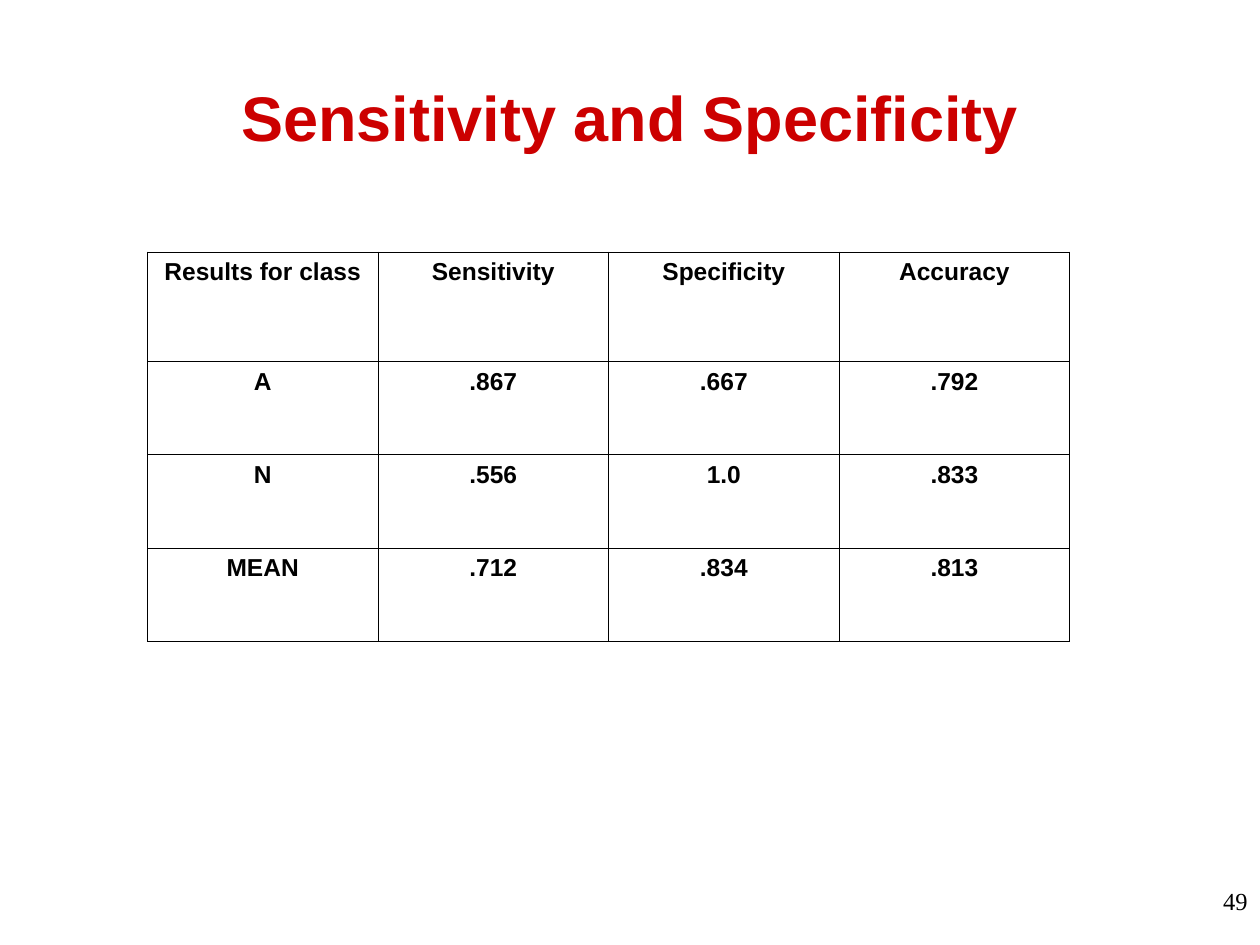
from lxml.etree import SubElement
from pptx import Presentation
from pptx.dml.color import RGBColor
from pptx.enum.text import MSO_ANCHOR, PP_ALIGN
from pptx.oxml.ns import qn
from pptx.util import Inches, Pt

BLACK = "000000"
RED = "CC0000"
TITLE_FONT = {"name": "Arial", "size": Pt(36), "bold": True}
CELL_FONT = {"name": "Arial", "size": Pt(14), "bold": True}
NUMBER_FONT = {"name": "Times New Roman", "size": Pt(14), "bold": False}
BORDER_WIDTH = Pt(0.45)
COLUMN_WIDTH = 1.83
ROW_HEIGHTS = [0.87, 0.74, 0.74, 0.74]
RESULTS = [
    ["Results for class", "Sensitivity", "Specificity", "Accuracy"],
    ["A", ".867", ".667", ".792"],
    ["N", ".556", "1.0", ".833"],
    ["MEAN", ".712", ".834", ".813"],
]


def set_color(color_format, hex_color):
    """Apply a hex colour to a font or fill colour."""
    color_format.rgb = RGBColor.from_string(hex_color)


def write_text(frame, text, font_format, hex_color, alignment):
    """Put one formatted paragraph into a text frame."""
    frame.word_wrap = True
    paragraph = frame.paragraphs[0]
    paragraph.alignment = alignment
    run = paragraph.add_run()
    run.text = text
    for attribute, value in font_format.items():
        setattr(run.font, attribute, value)
    set_color(run.font.color, hex_color)


def add_borders(cell, hex_color):
    """Draw a thin line on all four sides of a cell."""
    properties = cell._tc.get_or_add_tcPr()
    for side in ("a:lnL", "a:lnR", "a:lnT", "a:lnB"):
        border = SubElement(properties, qn(side), w=str(BORDER_WIDTH))
        solid = SubElement(border, qn("a:solidFill"))
        SubElement(solid, qn("a:srgbClr"), val=hex_color)


def add_title(slide, text):
    """Place and fill the title placeholder."""
    title = slide.shapes.title
    title.left, title.top = Inches(0.5), Inches(0.3)
    title.width, title.height = Inches(9), Inches(1.25)
    title.text_frame.vertical_anchor = MSO_ANCHOR.MIDDLE
    write_text(title.text_frame, text, TITLE_FONT, RED, PP_ALIGN.CENTER)


def add_results_table(slide, results):
    """Add the bordered table of results."""
    table = slide.shapes.add_table(
        len(results), len(results[0]), Inches(1.17), Inches(2),
        Inches(COLUMN_WIDTH * len(results[0])), Inches(sum(ROW_HEIGHTS)),
    ).table
    table.first_row = table.horz_banding = False
    for column in table.columns:
        column.width = Inches(COLUMN_WIDTH)
    for row, height, values in zip(table.rows, ROW_HEIGHTS, results):
        row.height = Inches(height)
        for cell, value in zip(row.cells, values):
            add_borders(cell, BLACK)
            cell.fill.background()
            write_text(cell.text_frame, value, CELL_FONT, BLACK, PP_ALIGN.CENTER)


def add_slide_number(slide, number):
    """Add the page number at the lower right."""
    page_number = slide.shapes.add_textbox(
        Inches(7.67), Inches(6.98), Inches(2.33), Inches(0.52)
    )
    write_text(page_number.text_frame, number, NUMBER_FONT, BLACK, PP_ALIGN.RIGHT)


def main():
    """Build and save the slide."""
    presentation = Presentation()
    presentation.slide_width, presentation.slide_height = Inches(10), Inches(7.5)
    slide = presentation.slides.add_slide(presentation.slide_layouts[5])
    add_title(slide, "Sensitivity and Specificity")
    add_results_table(slide, RESULTS)
    add_slide_number(slide, "49")
    presentation.save("out.pptx")


if __name__ == "__main__":
    main()
